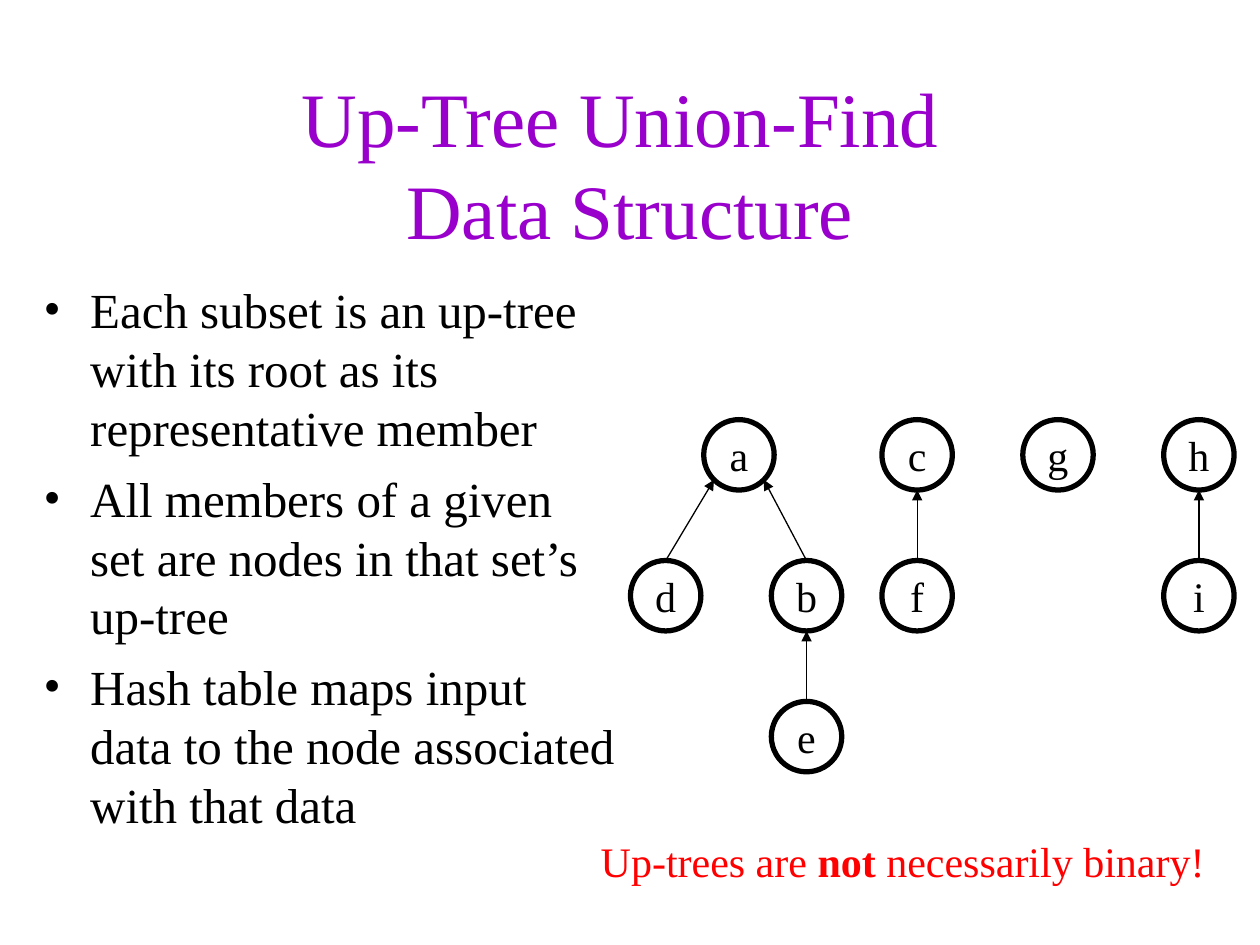
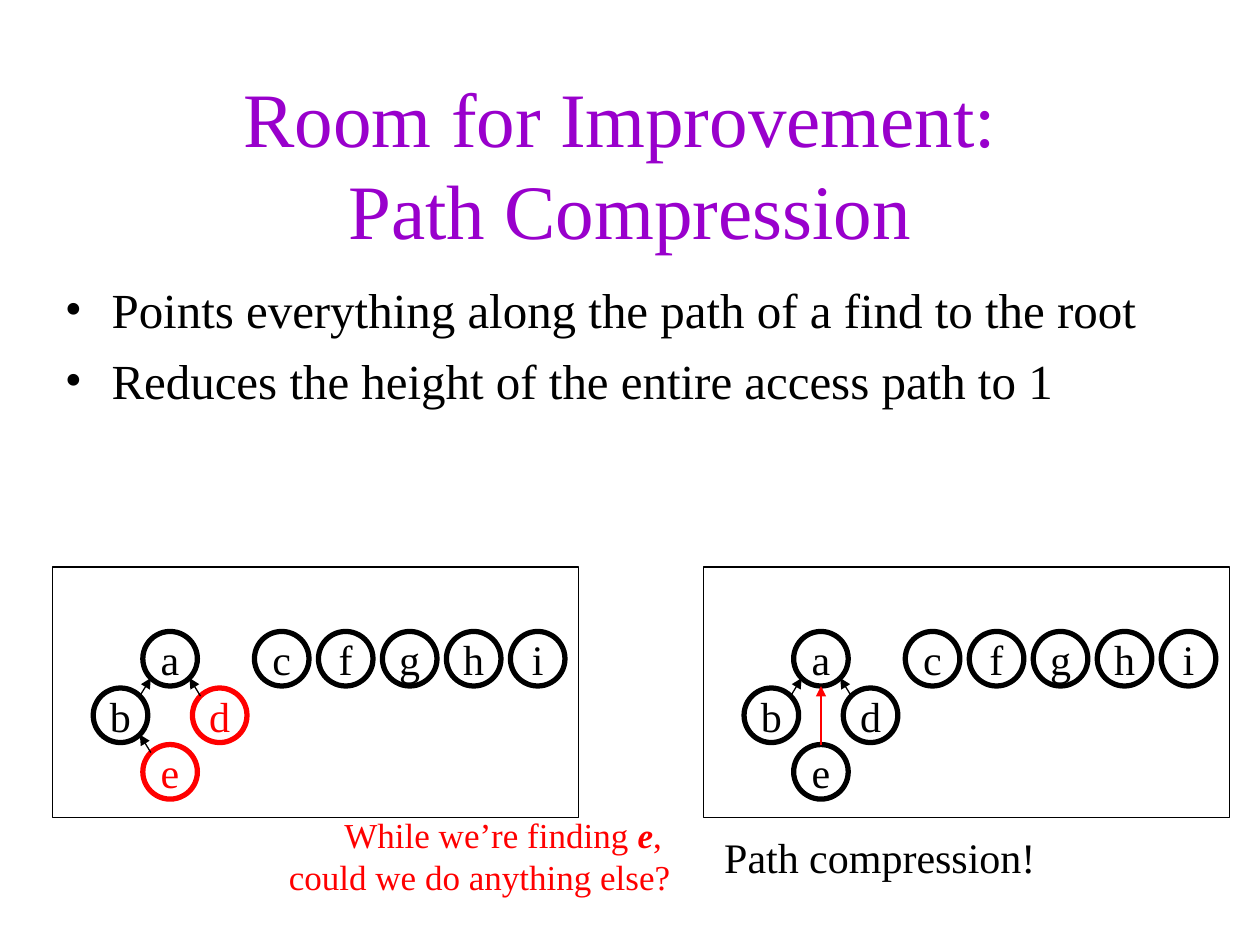
from math import cos, radians, sin

from lxml.etree import SubElement
from pptx import Presentation
from pptx.dml.color import RGBColor
from pptx.enum.shapes import MSO_CONNECTOR, MSO_SHAPE
from pptx.enum.text import MSO_ANCHOR, MSO_AUTO_SIZE, PP_ALIGN
from pptx.oxml.ns import qn
from pptx.util import Cm, Pt

FONT = "Times New Roman"
BLACK = RGBColor(0, 0, 0)
WHITE = RGBColor(255, 255, 255)
RED = RGBColor(255, 0, 0)
PURPLE = RGBColor(0x99, 0, 0xCC)

TITLE_AREA = (1.9, 1.7, 21.6, 3.17)
TOP, TOP_LEFT, BOTTOM_LEFT, BOTTOM, BOTTOM_RIGHT, TOP_RIGHT = 270, 225, 135, 90, 45, 315

UP_TREE_TITLE = "Up-Tree Union-Find \vData Structure"
UP_TREE_POINTS = [
    "Each subset is an up-tree with its root as its representative member",
    "All members of a given set are nodes in that set’s up-tree",
    "Hash table maps input data to the node associated with that data",
]
UP_TREE_NOTE = [[("Up-trees are ", ""), ("not", "b"), (" necessarily binary!", "")]]
UP_TREE_STEP = (2.84, 2.84)
UP_TREE_ORIGIN = (13.42, 9.17)
UP_TREE_NODES = {
    "a": (0.52, 0), "c": (1.785, 0), "g": (2.785, 0), "h": (3.785, 0),
    "d": (0, 1), "b": (1, 1), "f": (1.785, 1), "i": (3.785, 1), "e": (1, 2),
}
UP_TREE_ARROWS = [
    ("d", TOP, "a", BOTTOM_LEFT, BLACK),
    ("b", TOP, "a", BOTTOM_RIGHT, BLACK),
    ("e", TOP, "b", BOTTOM, BLACK),
    ("f", TOP, "c", BOTTOM, BLACK),
    ("i", TOP, "h", BOTTOM, BLACK),
]

COMPRESSION_TITLE = "Room for Improvement: \vPath Compression"
COMPRESSION_POINTS = [
    "Points everything along the path of a find to the root",
    "Reduces the height of the entire access path to 1",
]
COMPRESSION_QUESTION = [
    [("While we’re finding ", ""), ("e", "bi"), (", ", "")],
    [("could we do anything else?", "")],
]
COMPRESSION_ANSWER = [[("Path compression!", "")]]
COMPRESSION_STEP = (1, 1.14)
COMPRESSION_NODES = {"a": (1, 0), "b": (0, 1), "d": (2, 1), "e": (1, 2)}
COMPRESSION_NODES.update({name: (3.25 + 1.29 * place, 0) for place, name in enumerate("cfghi")})
SHARED_ARROWS = [
    ("b", TOP_RIGHT, "a", BOTTOM_LEFT, BLACK),
    ("d", TOP_LEFT, "a", BOTTOM_RIGHT, BLACK),
]
PANEL_TOP, PANEL_WIDTH, PANEL_HEIGHT = 11.43, 10.6, 5.05
PANELS = [
    (1.06, SHARED_ARROWS + [("e", TOP_LEFT, "b", BOTTOM_RIGHT, BLACK)], "de"),
    (14.18, SHARED_ARROWS + [("e", TOP, "a", BOTTOM, RED)], ""),
]


def set_font(para, size, color):
    para.font.name = FONT
    para.font.size = Pt(size)
    para.font.color.rgb = color


def add_page(deck, title):
    page = deck.slides.add_slide(deck.slide_layouts[5])
    box = page.shapes.title
    box.left, box.top, box.width, box.height = map(Cm, TITLE_AREA)
    frame = box.text_frame
    frame.text = title
    frame.auto_size = MSO_AUTO_SIZE.NONE
    frame.vertical_anchor = MSO_ANCHOR.MIDDLE
    para = frame.paragraphs[0]
    para.alignment = PP_ALIGN.CENTER
    set_font(para, 44, PURPLE)
    return page


def add_points(page, area, points):
    frame = page.shapes.add_textbox(*map(Cm, area)).text_frame
    frame.word_wrap = True
    for index, point in enumerate(points):
        para = frame.add_paragraph() if index else frame.paragraphs[0]
        para.text = point
        properties = para._p.get_or_add_pPr()
        properties.set("marL", str(Cm(0.94)))
        properties.set("indent", str(-Cm(0.94)))
        SubElement(properties, qn("a:buFont"), typeface=FONT)
        SubElement(properties, qn("a:buChar"), char="•")
        if index:
            para.space_before = Pt(7)
        set_font(para, 28, BLACK)


def add_note(page, area, lines, size, color, alignment=PP_ALIGN.LEFT):
    frame = page.shapes.add_textbox(*map(Cm, area)).text_frame
    frame.word_wrap = False
    frame.auto_size = MSO_AUTO_SIZE.SHAPE_TO_FIT_TEXT
    for index, line in enumerate(lines):
        para = frame.add_paragraph() if index else frame.paragraphs[0]
        para.alignment = alignment
        set_font(para, size, color)
        for text, style in line:
            span = para.add_run()
            span.text = text
            if "b" in style:
                span.font.bold = True
            if "i" in style:
                span.font.italic = True


def add_panel(page, left):
    area = (left, PANEL_TOP, PANEL_WIDTH, PANEL_HEIGHT)
    panel = page.shapes.add_shape(MSO_SHAPE.RECTANGLE, *map(Cm, area))
    panel.shadow.inherit = False
    panel.fill.solid()
    panel.fill.fore_color.rgb = WHITE
    panel.line.color.rgb = BLACK
    panel.line.width = Pt(0.75)


def add_node(page, name, center, diameter, color):
    left, top = (value - diameter / 2 for value in center)
    node = page.shapes.add_shape(
        MSO_SHAPE.OVAL, Cm(left), Cm(top), Cm(diameter), Cm(diameter))
    node.shadow.inherit = False
    node.fill.background()
    node.line.color.rgb = color
    node.line.width = Pt(3)
    frame = node.text_frame
    frame.word_wrap = False
    frame.vertical_anchor = MSO_ANCHOR.MIDDLE
    frame.text = name
    para = frame.paragraphs[0]
    para.alignment = PP_ALIGN.CENTER
    set_font(para, 24, color)


def add_arrow(page, start, end, color):
    arrow = page.shapes.add_connector(MSO_CONNECTOR.STRAIGHT, *map(Cm, start + end))
    arrow.line.color.rgb = color
    arrow.line.width = Pt(0.75)
    SubElement(arrow.line._get_or_add_ln(), qn("a:tailEnd"), type="triangle")
    SubElement(arrow._element.spPr, qn("a:effectLst"))


def rim_point(center, diameter, angle):
    x, y = center
    turn = radians(angle)
    return x + diameter / 2 * cos(turn), y + diameter / 2 * sin(turn)


def add_forest(page, origin, step, nodes, arrows, diameter, marked=""):
    centers = {
        name: (origin[0] + column * step[0], origin[1] + row * step[1])
        for name, (column, row) in nodes.items()
    }
    for name, center in centers.items():
        add_node(page, name, center, diameter, RED if name in marked else BLACK)
    for child, child_side, parent, parent_side, color in arrows:
        start = rim_point(centers[child], diameter, child_side)
        end = rim_point(centers[parent], diameter, parent_side)
        add_arrow(page, start, end, color)


def main():
    """Build the two union-find slides."""
    deck = Presentation()
    deck.slide_width, deck.slide_height = Cm(25.4), Cm(19.05)

    page = add_page(deck, UP_TREE_TITLE)
    add_points(page, (0.63, 5.51, 12.07, 11.43), UP_TREE_POINTS)
    add_forest(page, UP_TREE_ORIGIN, UP_TREE_STEP, UP_TREE_NODES, UP_TREE_ARROWS, 1.42)
    add_note(page, (11.86, 16.71, 12.7, 1.27), UP_TREE_NOTE, 24, RED)

    page = add_page(deck, COMPRESSION_TITLE)
    add_points(page, (1.06, 5.51, 23.29, 4.88), COMPRESSION_POINTS)
    for left, arrows, marked in PANELS:
        add_panel(page, left)
        origin = (left + 1.37, PANEL_TOP + 1.85)
        add_forest(page, origin, COMPRESSION_STEP, COMPRESSION_NODES, arrows, 1.1, marked)
    add_note(page, (5.54, 16.28, 8.23, 1.96), COMPRESSION_QUESTION, 20, RED, PP_ALIGN.RIGHT)
    add_note(page, (14.35, 16.64, 6.78, 1.27), COMPRESSION_ANSWER, 24, BLACK)

    deck.save("out.pptx")


if __name__ == "__main__":
    main()
